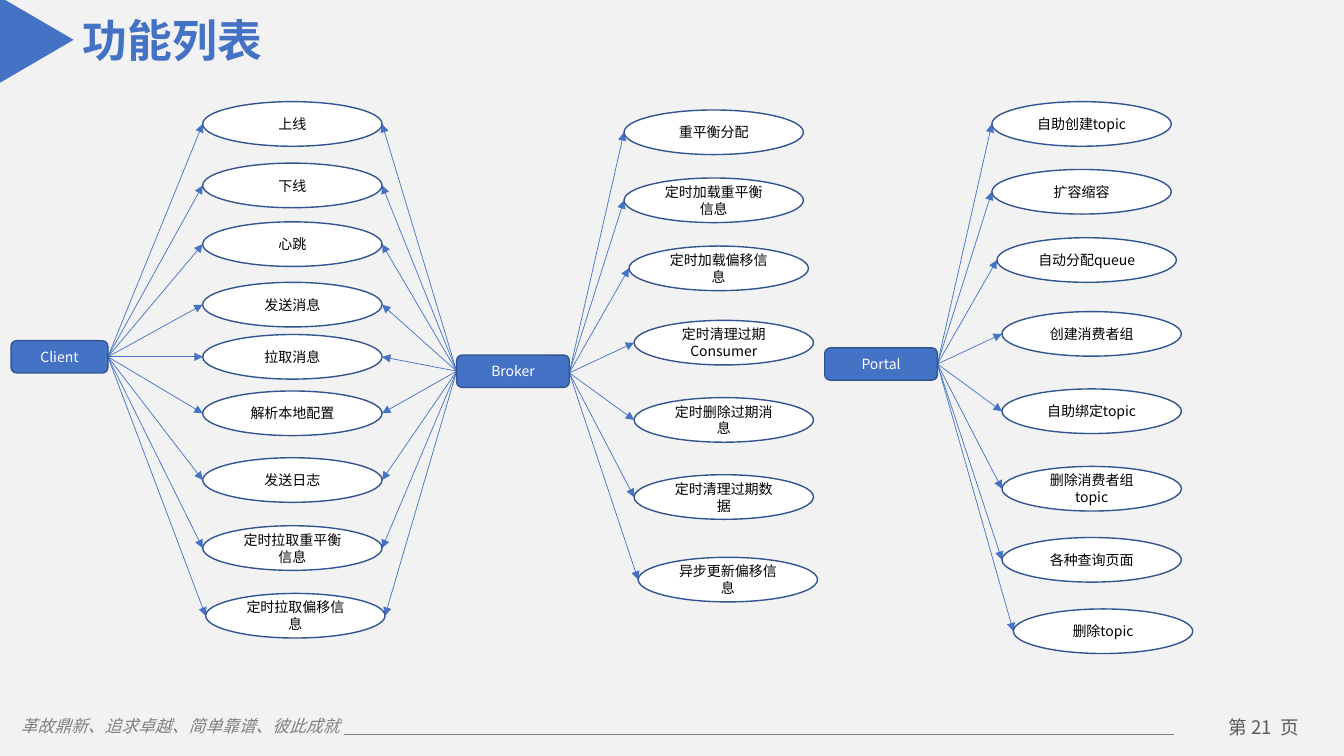
from lxml import etree
from pptx import Presentation
from pptx.dml.color import RGBColor
from pptx.enum.shapes import MSO_CONNECTOR, MSO_SHAPE
from pptx.enum.text import MSO_ANCHOR, PP_ALIGN
from pptx.oxml.ns import qn
from pptx.util import Inches, Pt

LEFT, CENTER, RIGHT = PP_ALIGN.LEFT, PP_ALIGN.CENTER, PP_ALIGN.RIGHT
TOP, MIDDLE = MSO_ANCHOR.TOP, MSO_ANCHOR.MIDDLE
OVAL, ROUNDED, TRIANGLE = MSO_SHAPE.OVAL, MSO_SHAPE.ROUNDED_RECTANGLE, MSO_SHAPE.ISOSCELES_TRIANGLE
STRAIGHT = MSO_CONNECTOR.STRAIGHT

FONT = "Noto Sans CJK SC"
HEX = {"paper": "F2F2F2", "blue": "4472C4", "edge": "325491", "white": "FFFFFF",
       "black": "000000", "grey": "808080", "page": "595959"}
RGB = {name: RGBColor.from_string(value) for name, value in HEX.items()}

prs = Presentation()
prs.slide_width, prs.slide_height = 12192000, 6858000
COL, ROW = prs.slide_width // 100, prs.slide_height // 100
slide = prs.slides.add_slide(prs.slide_layouts[5])
slide.background.fill.solid()
slide.background.fill.fore_color.rgb = RGB["paper"]


def write(sp, text, size=10, color="black", font=FONT, align=CENTER, anchor=MIDDLE,
          bold=False, italic=False, wrap=True):
    tf = sp.text_frame
    tf.word_wrap, tf.vertical_anchor = wrap, anchor
    p = tf.paragraphs[0]
    p.alignment = align
    r = p.add_run()
    r.text = text
    r.font.size, r.font.bold, r.font.italic = Pt(size), bold, italic
    r.font.color.rgb = RGB[color]
    r.font.name = font
    etree.SubElement(r.font._element, qn("a:ea"), typeface=FONT)


def connect(x1, y1, x2, y2, color="blue", arrow=True):
    line = slide.shapes.add_connector(
        STRAIGHT, int(x1 * COL), int(y1 * ROW), int(x2 * COL), int(y2 * ROW))
    line.line.color.rgb, line.line.width = RGB[color], Pt(0.5)
    if arrow:
        etree.SubElement(line.line._get_or_add_ln(), qn("a:tailEnd"), type="triangle")
    etree.SubElement(line._element.spPr, qn("a:effectLst"))


OVAL_W, OVAL_H, HUB_H = 13.35, 5.9, 4.27
hubs = [
    ("Client", 0.83, 7.2, 47.2, 47.2, [
        ("上线", 15.08, 16.4), ("下线", 15.08, 24.53), ("心跳", 15.08, 32.3),
        ("发送消息", 15.08, 40.3), ("拉取消息", 15.08, 47.2),
        ("解析本地配置", 15.08, 54.67), ("发送日志", 15.08, 63.5),
        ("定时拉取重平衡信息", 15.08, 72.5), ("定时拉取偏移信息", 15.3, 81.45)]),
    ("Broker", 33.98, 8.38, 49.1, 49.33, [
        ("重平衡分配", 46.43, 17.5), ("定时加载重平衡信息", 46.43, 26.5),
        ("定时加载偏移信息", 46.8, 35.5), ("定时清理过期Consumer", 47.18, 45.33),
        ("定时删除过期消息", 47.18, 55.55), ("定时清理过期数据", 47.18, 65.75),
        ("异步更新偏移信息", 47.48, 76.67)]),
    ("Portal", 61.37, 8.38, 48.15, 48.15, [
        ("自助创建topic", 73.8, 16.4), ("扩容缩容", 73.8, 25.37),
        ("自动分配queue", 74.18, 34.4), ("创建消费者组", 74.55, 44.17),
        ("自助绑定topic", 74.55, 54.4), ("删除消费者组topic", 74.55, 64.65),
        ("各种查询页面", 74.55, 74.05), ("删除topic", 75.4, 83.5)]),
]

boxes = []
for name, left, width, middle, port, functions in hubs:
    boxes.append((ROUNDED, name, left, middle, width, HUB_H, "blue", "white"))
    for label, x, y in functions:
        boxes.append((OVAL, label, x, y, OVAL_W, OVAL_H, "white", "black"))
        connect(left + width, port, x, y)

broker_left, broker_middle = hubs[1][1], hubs[1][3]
for label, x, y in hubs[0][5]:
    connect(broker_left, broker_middle, x + OVAL_W, y)

for kind, label, x, y, w, h, fill, ink in boxes:
    s = slide.shapes.add_shape(
        kind, int(x * COL), int((y - h / 2) * ROW), int(w * COL), int(h * ROW))
    s.shadow.inherit = False
    s.fill.solid()
    s.fill.fore_color.rgb = RGB[fill]
    s.line.color.rgb, s.line.width = RGB["edge"], Pt(1)
    write(s, label, color=ink)

marker = slide.shapes.add_shape(
    TRIANGLE, int(-0.45 * COL), int(0.4 * ROW), int(6.38 * COL), int(9.73 * ROW))
marker.rotation = 90
marker.shadow.inherit = False
marker.fill.solid()
marker.fill.fore_color.rgb = RGB["blue"]
marker.line.fill.background()

title = slide.shapes.title
title.left, title.top = int(5.18 * COL), int(0.8 * ROW)
title.width, title.height = int(15.45 * COL), int(8.93 * ROW)
tf = title.text_frame
tf.margin_left = tf.margin_right = Inches(0.13)
tf.margin_top = tf.margin_bottom = Inches(0.07)
write(title, "功能列表", size=32, color="blue", font="Arial", align=LEFT, bold=True, wrap=False)

motto = slide.shapes.add_textbox(int(-9.9 * COL), 94 * ROW, int(35.93 * COL), 4 * ROW)
write(motto, "革故鼎新、追求卓越、简单靠谱、彼此成就", size=12, color="grey",
      align=RIGHT, anchor=TOP, italic=True)
page = slide.shapes.add_textbox(int(89.55 * COL), 94 * ROW, 9 * COL, int(5.33 * ROW))
write(page, "第 21  页", size=13.3, color="page", anchor=TOP)
connect(25.58, 97.2, 87.38, 97.2, color="grey", arrow=False)

prs.save("out.pptx")
